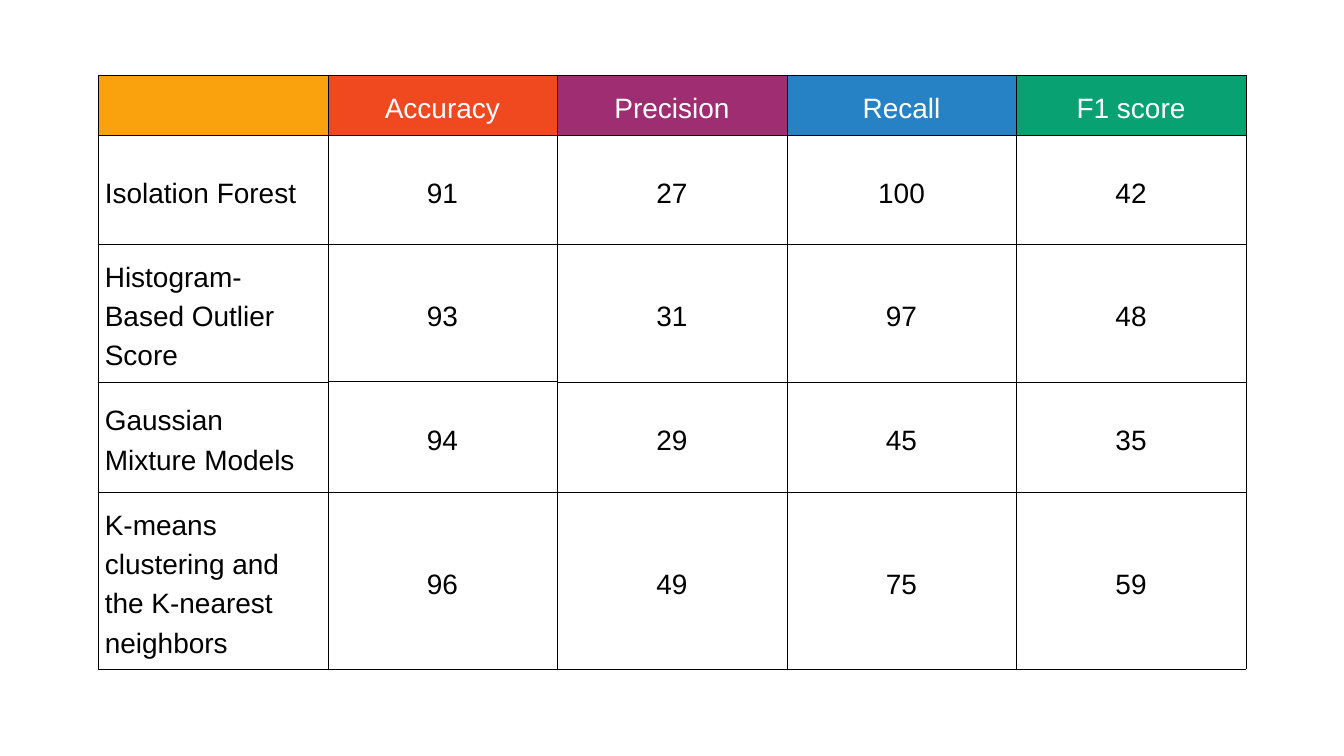
import pptx
import pptx.dml.color
import pptx.enum.text
import pptx.oxml
import pptx.oxml.ns
import pptx.util

PX = 9144  # EMU per px, 100 px to the inch
COLORS = {
    "orange": "FAA20E", "red": "F04920", "purple": "9E2E71",
    "blue": "2781C5", "green": "08A172", "white": "FFFFFF", "black": "000000",
}
HEADER_COLORS = ["orange", "red", "purple", "blue", "green"]
SCORES = [
    ["", "Accuracy", "Precision", "Recall", "F1 score"],
    ["Isolation Forest", "91", "27", "100", "42"],
    ["Histogram-Based Outlier Score", "93", "31", "97", "48"],
    ["Gaussian Mixture Models", "94", "29", "45", "35"],
    ["K-means clustering and the K-nearest neighbors", "96", "49", "75", "59"],
]
ROW_HEIGHTS = [89, 162, 205, 164, 264]
THIN, THICK = 0.37, 0.75


def rgb(name):
    return pptx.dml.color.RGBColor.from_string(COLORS[name])


def is_open(row, column):
    """Accuracy cells from the second model down: no fill, thicker edges."""
    return column == 1 and row >= 2


def edge_widths(row, column):
    thick_edges = {
        "L": is_open(row, column - 1),
        "R": is_open(row, column),
        "T": is_open(row - 1, column),
        "B": is_open(row, column),
    }
    return {side: THICK if thick else THIN for side, thick in thick_edges.items()}


def draw_borders(cell, widths):
    properties = cell._tc.get_or_add_tcPr()
    for side, width in widths.items():
        properties.append(pptx.oxml.parse_xml(
            f'<a:ln{side} {pptx.oxml.ns.nsdecls("a")} w="{pptx.util.Pt(width)}">'
            f'<a:solidFill><a:srgbClr val="{COLORS["black"]}"/></a:solidFill>'
            f'<a:prstDash val="solid"/></a:ln{side}>'))


def fill_cell(cell, row, column):
    draw_borders(cell, edge_widths(row, column))
    if is_open(row, column):
        cell.fill.background()
    else:
        cell.fill.solid()
        cell.fill.fore_color.rgb = rgb("white" if row else HEADER_COLORS[column])

    cell.vertical_anchor = pptx.enum.text.MSO_ANCHOR.MIDDLE
    cell.margin_left = cell.margin_right = 10 * PX
    cell.margin_top = cell.margin_bottom = 10 * PX
    paragraph = cell.text_frame.paragraphs[0]
    paragraph.text = SCORES[row][column]
    paragraph.line_spacing = pptx.util.Pt(42)
    align = pptx.enum.text.PP_ALIGN
    paragraph.alignment = align.CENTER if column else align.LEFT
    for run in paragraph.runs:
        run.font.name = "Arial"
        run.font.size = pptx.util.Pt(30)
        run.font.color.rgb = rgb("black" if row else "white")


def add_score_table(slide, left, top, width, height):
    table = slide.shapes.add_table(
        len(SCORES), len(SCORES[0]),
        left * PX, top * PX, width * PX, height * PX).table
    table.first_row = table.horz_banding = False
    for column in table.columns:
        column.width = width * PX // len(SCORES[0])
    for table_row, row_height in zip(table.rows, ROW_HEIGHTS):
        table_row.height = height * PX * row_height // sum(ROW_HEIGHTS)
    for row, values in enumerate(SCORES):
        for column in range(len(values)):
            fill_cell(table.cell(row, column), row, column)


def main():
    presentation = pptx.Presentation()
    presentation.slide_width = 2000 * PX
    presentation.slide_height = 1125 * PX
    slide = presentation.slides.add_slide(presentation.slide_layouts[6])
    add_score_table(slide, 146, 112, 1708, 884)
    presentation.save("out.pptx")


if __name__ == "__main__":
    main()
